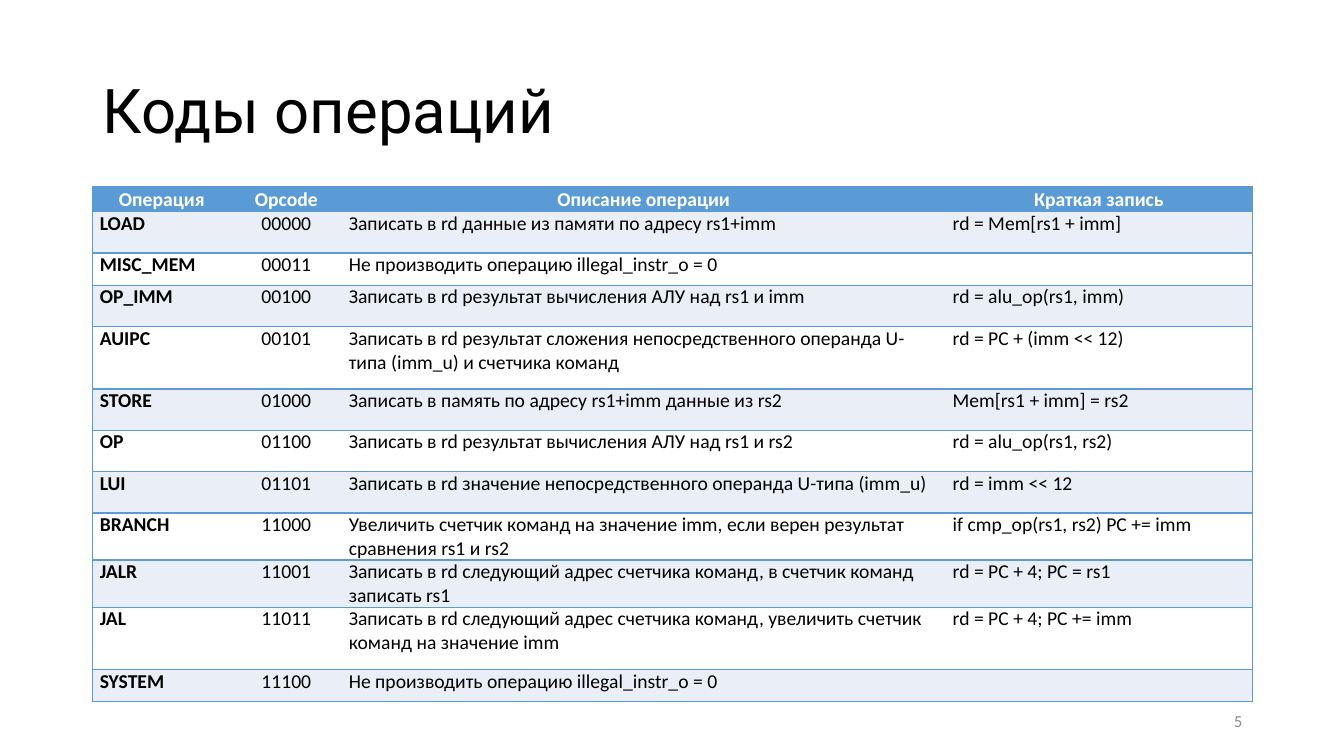
from lxml import etree
from pptx import Presentation
from pptx.dml.color import RGBColor
from pptx.enum.text import MSO_ANCHOR, PP_ALIGN
from pptx.oxml.ns import qn
from pptx.util import Inches, Pt

LEFT, CENTER, RIGHT = PP_ALIGN.LEFT, PP_ALIGN.CENTER, PP_ALIGN.RIGHT
MIDDLE = MSO_ANCHOR.MIDDLE
BLUE, PALE, WHITE, BLACK, GRAY = "5B9BD5", "EAEFF7", "FFFFFF", "000000", "8C8C8C"


def rgb(value):
    return RGBColor.from_string(value)


def add_text(p, text, size, color, font="Calibri", bold=False, align=LEFT):
    p.alignment = align
    r = p.add_run()
    r.text = text
    r.font.size = Pt(size)
    r.font.name = font
    r.font.bold = bold
    r.font.color.rgb = rgb(color)


prs = Presentation()
prs.slide_width = Inches(13.33)
prs.slide_height = Inches(7.5)
s = prs.slides.add_slide(prs.slide_layouts[6])

labels = [
    ("5", 9.42, 6.95, 3, 0.4, 12, GRAY, "Calibri", RIGHT),
    ("Коды операций", 0.92, 0.4, 11.5, 1.45, 44, BLACK, "Roboto", LEFT),
]
for text, x, y, w, h, size, color, font, align in labels:
    sp = s.shapes.add_textbox(Inches(x), Inches(y), Inches(w), Inches(h))
    tf = sp.text_frame
    tf.word_wrap = True
    tf.vertical_anchor = MIDDLE
    add_text(tf.paragraphs[0], text, size, color, font, align=align)
    if size == 44:
        tf.paragraphs[0].line_spacing = 0.9

header = ("Операция", "Opcode", "Описание операции", "Краткая запись")
operations = [
    ("LOAD", "00000", "Записать в rd данные из памяти по адресу rs1+imm", "rd = Mem[rs1 + imm]"),
    ("MISC_MEM", "00011", "Не производить операцию illegal_instr_o = 0", ""),
    ("OP_IMM", "00100", "Записать в rd результат вычисления АЛУ над rs1 и imm", "rd = alu_op(rs1, imm)"),
    ("AUIPC", "00101", "Записать в rd результат сложения непосредственного операнда U-типа (imm_u) и счетчика команд",
     "rd = PC + (imm << 12)"),
    ("STORE", "01000", "Записать в память по адресу rs1+imm данные из rs2", "Mem[rs1 + imm] = rs2"),
    ("OP", "01100", "Записать в rd результат вычисления АЛУ над rs1 и rs2", "rd = alu_op(rs1, rs2)"),
    ("LUI", "01101", "Записать в rd значение непосредственного операнда U-типа (imm_u)", "rd = imm << 12"),
    ("BRANCH", "11000", "Увеличить счетчик команд на значение imm, если верен результат сравнения rs1 и rs2",
     "if cmp_op(rs1, rs2) PC += imm"),
    ("JALR", "11001", "Записать в rd следующий адрес счетчика команд, в счетчик команд записать rs1",
     "rd = PC + 4; PC = rs1"),
    ("JAL", "11011", "Записать в rd следующий адрес счетчика команд, увеличить счетчик команд на значение imm",
     "rd = PC + 4; PC += imm"),
    ("SYSTEM", "11100", "Не производить операцию illegal_instr_o = 0", ""),
]
rows = [header] + operations
widths = [1.37, 1.1, 5.99, 3.04]
heights = [0.2, 0.41, 0.32, 0.41, 0.62, 0.41, 0.41, 0.41, 0.41, 0.41, 0.62, 0.32]

table = s.shapes.add_table(len(rows), len(widths), Inches(0.92), Inches(1.85),
                           Inches(sum(widths)), Inches(sum(heights))).table
for column, width in zip(table.columns, widths):
    column.width = Inches(width)
for row, height in zip(table.rows, heights):
    row.height = Inches(height)

for i, values in enumerate(rows):
    for j, text in enumerate(values):
        cell = table.cell(i, j)
        cell.margin_left = cell.margin_right = Inches(0.07)
        cell.margin_top = cell.margin_bottom = 0

        tcPr = cell._tc.get_or_add_tcPr()
        edges = {"a:lnL": j == 0, "a:lnR": j == len(widths) - 1, "a:lnT": True, "a:lnB": True}
        for tag, visible in edges.items():
            ln = etree.SubElement(tcPr, qn(tag), w=str(Pt(1)))
            if visible:
                fill = etree.SubElement(ln, qn("a:solidFill"))
                etree.SubElement(fill, qn("a:srgbClr"), val=BLUE)
            else:
                etree.SubElement(ln, qn("a:noFill"))

        cell.fill.solid()
        cell.fill.fore_color.rgb = rgb(BLUE if i == 0 else PALE if i % 2 else WHITE)

        p = cell.text_frame.paragraphs[0]
        if i == 0:
            p.line_spacing = 1.07
            p.space_after = Pt(8)
        if text:
            add_text(p, text, 14, BLACK if i else WHITE, bold=i == 0 or j == 0,
                     align=CENTER if i == 0 or j == 1 else LEFT)
        else:
            p.font.size = Pt(14)

prs.save("out.pptx")
